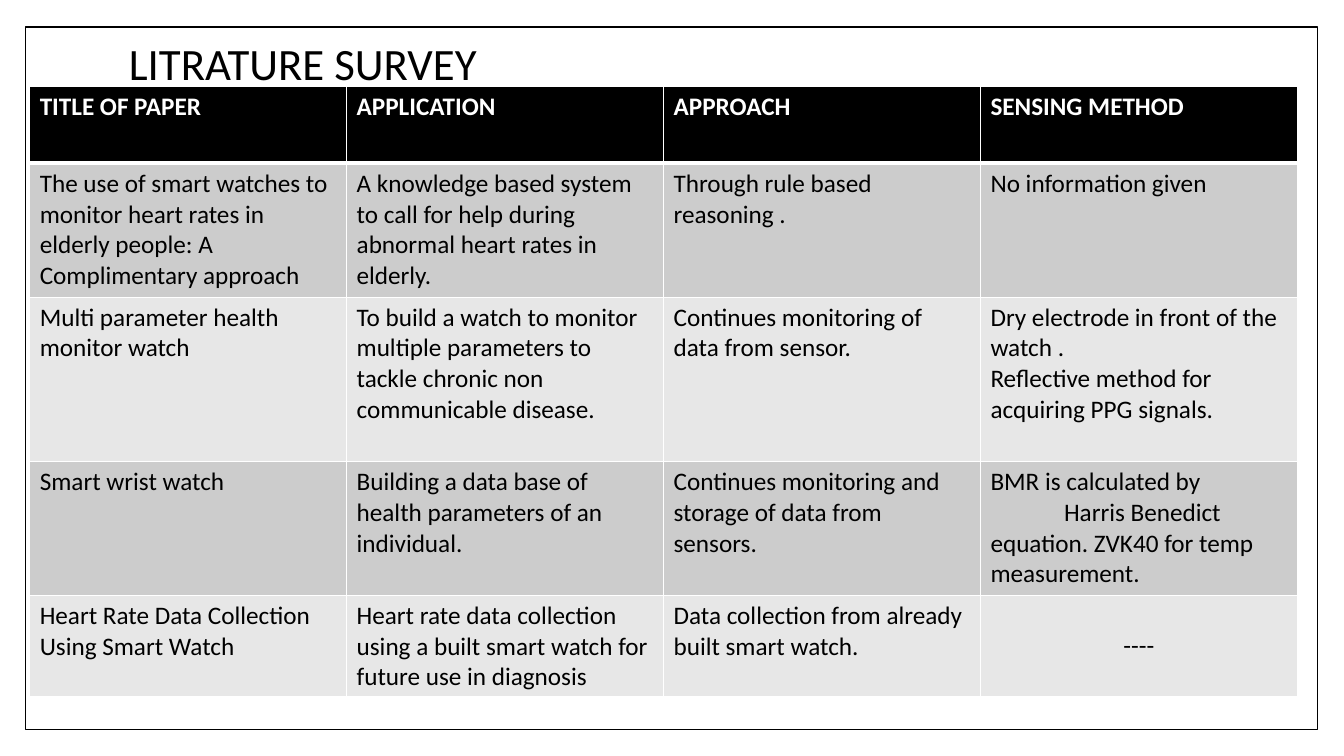
from dataclasses import dataclass

from lxml.etree import SubElement as Sub
from pptx import Presentation
from pptx.dml.color import RGBColor as Rgb
from pptx.enum.shapes import MSO_SHAPE as Kind
from pptx.enum.text import MSO_ANCHOR as Anchor, PP_ALIGN as Align
from pptx.oxml.ns import qn
from pptx.util import Pt

BLACK, WHITE = "000000", "FFFFFF"
BANDS = ("CCCCCC", "E7E7E7")
FACE = "Calibri"


@dataclass
class Para:
    text: str
    indent: float = 0


@dataclass
class Entry:
    paras: list[Para]
    mid: bool = False


@dataclass
class Row:
    high: float
    cells: list[Entry]


def one(text: str) -> Entry:
    return Entry([Para(text)])


HEAD = Row(54.7, [one("TITLE OF PAPER"), one("APPLICATION"),
                  one("APPROACH"), one("SENSING METHOD")])
PAPERS = [
    Row(95.6, [
        one("The use of smart watches to monitor heart rates in elderly "
            "people: A Complimentary approach"),
        one("A knowledge based system to call for help during abnormal "
            "heart rates in elderly."),
        one("Through rule based reasoning ."),
        one("No information given")]),
    Row(117.4, [
        one("Multi parameter health monitor watch"),
        one("To build a watch to monitor multiple parameters to tackle "
            "chronic non communicable disease."),
        one("Continues monitoring of data from sensor."),
        Entry([Para("Dry electrode in front of the watch ."),
               Para("Reflective method for acquiring PPG signals.")])]),
    Row(95.6, [
        one("Smart wrist watch"),
        one("Building a data base of health parameters of an individual."),
        one("Continues monitoring and storage of data from sensors."),
        Entry([Para("BMR is calculated by"),
               Para("Harris Benedict equation. ZVK40 for temp measurement.",
                    indent=52.5)])]),
    Row(72.5, [
        one("Heart Rate Data Collection Using Smart Watch"),
        one("Heart rate data collection using a built smart watch for "
            "future use in diagnosis"),
        one("Data collection from already built smart watch."),
        Entry([Para("----")], mid=True)]),
]


def tint(code: str) -> Rgb:
    return Rgb.from_string(code)


def style(font, code: str, **form) -> None:
    for key, val in {"name": FACE, **form}.items():
        setattr(font, key, val)
    font.color.rgb = tint(code)


def edge(cell, side: str, wide: float) -> None:
    """Add one white cell border."""
    line = Sub(cell._tc.get_or_add_tcPr(), qn(f"a:{side}"), w=str(Pt(wide)))
    Sub(Sub(line, qn("a:solidFill")), qn("a:srgbClr"), val=WHITE)


def draw(cell, entry: Entry, back: str, ink: str, bold: bool,
         top: float, base: float) -> None:
    for side, wide in dict(lnL=1, lnR=1, lnT=top, lnB=base).items():
        edge(cell, side, wide)
    cell.fill.solid()
    cell.fill.fore_color.rgb = tint(back)
    if entry.mid:
        cell.vertical_anchor = Anchor.MIDDLE
    frame = cell.text_frame
    for i, para in enumerate(entry.paras):
        p = frame.add_paragraph() if i else frame.paragraphs[0]
        if entry.mid:
            p.alignment = Align.CENTER
        if para.indent:
            p._p.get_or_add_pPr().set("indent", str(Pt(para.indent)))
        run = p.add_run()
        run.text = para.text
        style(run.font, ink, size=Pt(18), bold=bold)


deck = Presentation()
deck.slide_width, deck.slide_height = Pt(960), Pt(540)
slide = deck.slides.add_slide(deck.slide_layouts[6])

# Page border
page = slide.shapes.add_shape(Kind.RECTANGLE, Pt(18), Pt(19.4),
                              Pt(923), Pt(501.8))
page.shadow.inherit = False
page.fill.solid()
page.fill.fore_color.rgb = tint(WHITE)
page.line.color.rgb = tint(BLACK)
page.line.width = Pt(1)

# Title
frame = slide.shapes.add_textbox(Pt(85), Pt(-6.5), Pt(777.6),
                                 Pt(106.6)).text_frame
frame.word_wrap = True
frame.vertical_anchor = Anchor.MIDDLE
title = frame.paragraphs[0]
title.line_spacing = 0.9
run = title.add_run()
run.text = "LITRATURE SURVEY"
style(run.font, BLACK, size=Pt(32))

# Survey table
rows = [HEAD, *PAPERS]
wide = 226.4
table = slide.shapes.add_table(
    len(rows), len(HEAD.cells), Pt(21.2), Pt(62), Pt(wide * len(HEAD.cells)),
    Pt(sum(row.high for row in rows))).table
for col in table.columns:
    col.width = Pt(wide)
for r, row in enumerate(rows):
    table.rows[r].height = Pt(row.high)
    head = r == 0
    back = BLACK if head else BANDS[(r - 1) % 2]
    for c, entry in enumerate(row.cells):
        draw(table.cell(r, c), entry, back, WHITE if head else BLACK, head,
             top=3 if r == 1 else 1, base=3 if head else 1)

deck.save("out.pptx")
